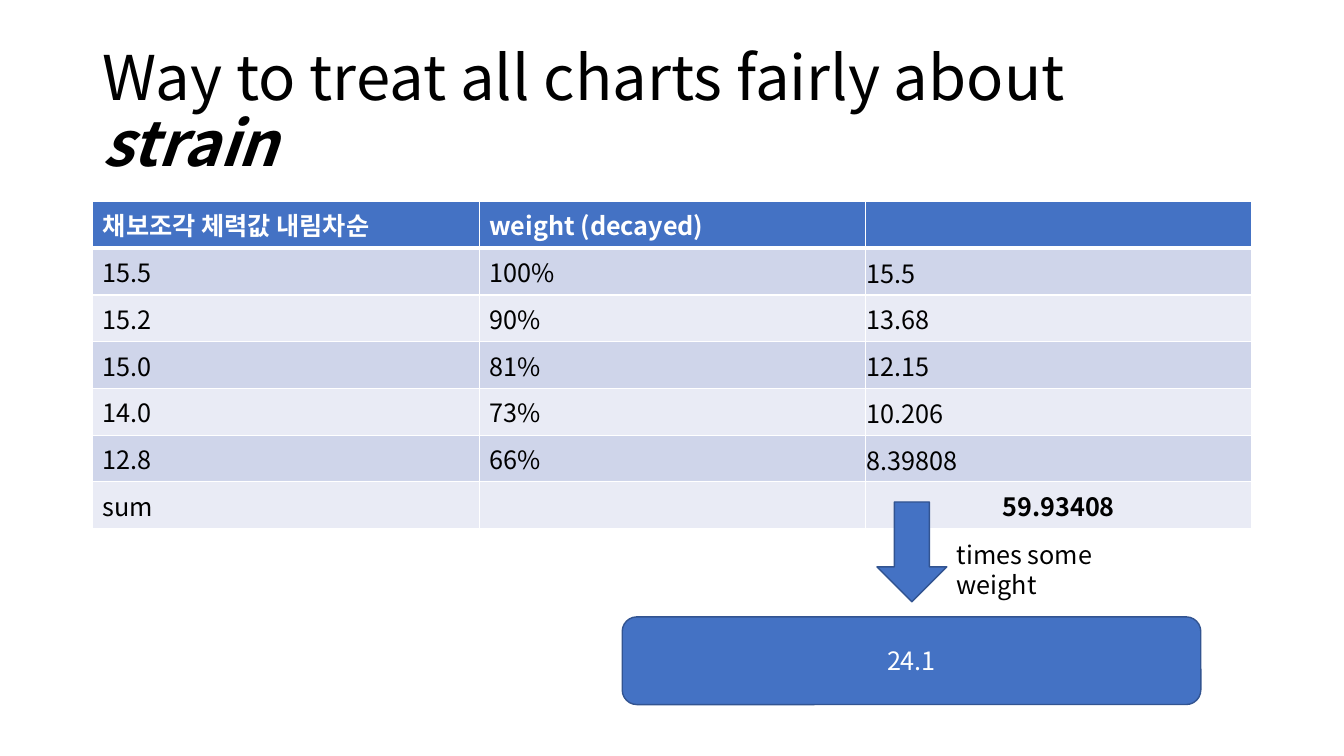
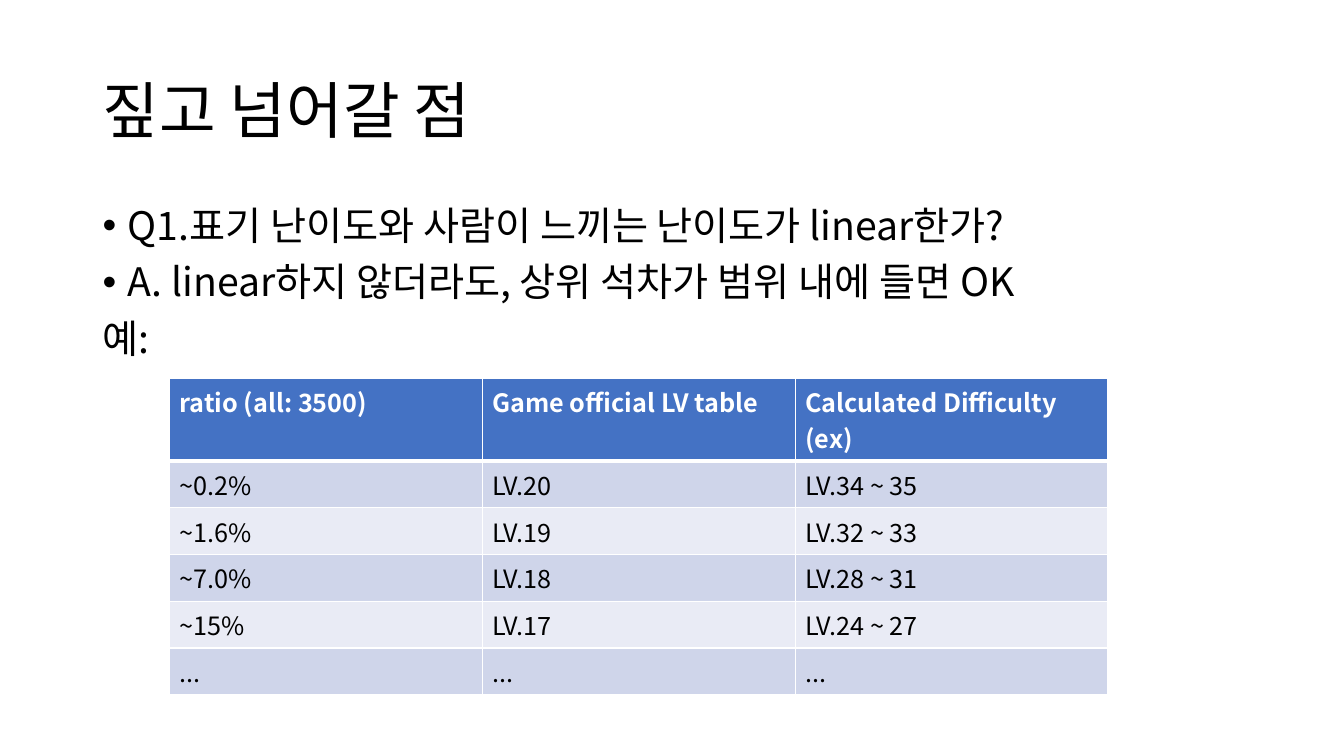
from pptx import Presentation, util as u
from pptx.dml.color import RGBColor
from pptx.enum import shapes, text
from pptx.oxml import parse_xml
from pptx.oxml.ns import nsdecls, qn
from lxml import etree

WIDTH, HEIGHT = 13.33, 7.5
FONT = "Noto Sans CJK KR"
BLACK, WHITE, BLUE, OUTLINE = "000000", "FFFFFF", "4472C4", "325491"
BANDS = ["CFD5EA", "E9EBF5"]
MARGIN, CONTENT = 6.9, 86.25
CONTENT_TOP = 26.67
ROW, TALL_ROW = 6.18, 11


def color(value):
    return RGBColor.from_string(value)


def across(share):
    return u.Inches(WIDTH * share / 100)


def down(share):
    return u.Inches(HEIGHT * share / 100)


def area(left, top, width, height):
    return across(left), down(top), across(width), down(height)


def add_run(paragraph, words, size, fill=BLACK, bold=False, italic=False):
    run = paragraph.add_run()
    run.text = words
    font = run.font
    font.name, font.size = FONT, u.Pt(size)
    font.bold, font.italic = bold, italic
    font.color.rgb = color(fill)
    east_asian = etree.SubElement(font._element, qn("a:ea"))
    east_asian.set("typeface", FONT)


def add_text_box(slide, bounds, anchor=text.MSO_ANCHOR.TOP):
    frame = slide.shapes.add_textbox(*area(*bounds)).text_frame
    frame.word_wrap = True
    frame.vertical_anchor = anchor
    return frame


def add_title(slide, words, emphasis=""):
    frame = add_text_box(slide, (MARGIN, 5.33, CONTENT, 19.33), text.MSO_ANCHOR.MIDDLE)
    paragraph = frame.paragraphs[0]
    paragraph.line_spacing = 0.9
    add_run(paragraph, words, 44)
    if emphasis:
        add_run(paragraph, emphasis, 44, bold=True, italic=True)


def set_bullet(paragraph):
    properties = paragraph._p.get_or_add_pPr()
    properties.set("marL", str(u.Inches(0.25)))
    properties.set("indent", str(-u.Inches(0.25)))
    properties.append(parse_xml(f'<a:buFont {nsdecls("a")} typeface="Arial"/>'))
    properties.append(parse_xml(f'<a:buChar {nsdecls("a")} char="•"/>'))


def add_body(slide, lines):
    frame = add_text_box(slide, (MARGIN, CONTENT_TOP, CONTENT, 63.47))
    for index, (words, bulleted) in enumerate(lines):
        paragraph = frame.add_paragraph() if index else frame.paragraphs[0]
        paragraph.line_spacing = 0.9
        paragraph.space_before = u.Pt(10)
        if bulleted:
            set_bullet(paragraph)
        add_run(paragraph, words, 28)


def set_borders(cell, row):
    widths = {"L": 1, "R": 1, "T": 3 if row == 1 else 1, "B": 1 if row else 3}
    properties = cell._tc.get_or_add_tcPr()
    for side, points in widths.items():
        properties.append(parse_xml(
            f'<a:ln{side} {nsdecls("a")} w="{u.Pt(points)}"><a:solidFill>'
            f'<a:srgbClr val="{WHITE}"/></a:solidFill></a:ln{side}>'))


def add_table(slide, left, top, width, rows, header=ROW):
    bounds = area(left, top, width, header + ROW * (len(rows) - 1))
    table = slide.shapes.add_table(len(rows), len(rows[0]), *bounds).table
    table.horz_banding = False
    for row, values in enumerate(rows):
        table.rows[row].height = down(ROW if row else header)
        for column, words in enumerate(values):
            cell = table.cell(row, column)
            set_borders(cell, row)
            cell.fill.solid()
            cell.fill.fore_color.rgb = color(BANDS[(row - 1) % 2] if row else BLUE)
            if words:
                add_run(cell.text_frame.paragraphs[0], words, 18,
                        BLACK if row else WHITE, bold=not row)
    return table


def tighten_results(table):
    last_row, last_column = len(table.rows) - 1, len(table.columns) - 1
    for row in range(1, last_row + 1):
        cell = table.cell(row, last_column)
        cell.vertical_anchor = text.MSO_ANCHOR.MIDDLE
        cell.margin_left = cell.margin_right = cell.margin_top = u.Inches(0.01)
        cell.margin_bottom = 0
    total = table.cell(last_row, last_column).text_frame.paragraphs[0]
    total.alignment = text.PP_ALIGN.CENTER
    total.runs[0].font.bold = True


def add_block(slide, kind, bounds, words=""):
    shape = slide.shapes.add_shape(kind, *area(*bounds))
    shape.shadow.inherit = False
    shape.fill.solid()
    shape.fill.fore_color.rgb = color(BLUE)
    shape.line.color.rgb = color(OUTLINE)
    shape.line.width = u.Pt(1)
    if words:
        shape.text_frame.vertical_anchor = text.MSO_ANCHOR.MIDDLE
        paragraph = shape.text_frame.paragraphs[0]
        paragraph.alignment = text.PP_ALIGN.CENTER
        add_run(paragraph, words, 18, WHITE)


def build_strain(slide):
    table = add_table(slide, MARGIN, CONTENT_TOP, CONTENT, [
        ("채보조각 체력값 내림차순", "weight (decayed)", ""),
        ("15.5", "100%", "15.5"),
        ("15.2", "90%", "13.68"),
        ("15.0", "81%", "12.15"),
        ("14.0", "73%", "10.206"),
        ("12.8", "66%", "8.39808"),
        ("sum", "", "59.93408"),
    ])
    tighten_results(table)
    add_block(slide, shapes.MSO_SHAPE.DOWN_ARROW, (65.25, 66.4, 5.2, 13.2))
    add_block(slide, shapes.MSO_SHAPE.ROUNDED_RECTANGLE, (46.3, 81.6, 43.05, 11.6), "24.1")
    label = add_text_box(slide, (70.45, 70.67, 15, 9.4))
    add_run(label.paragraphs[0], "times some weight", 18)
    add_title(slide, "Way to treat all charts fairly about ", "strain")


def build_notes(slide):
    add_title(slide, "짚고 넘어갈 점")
    add_body(slide, [
        ("Q1.표기 난이도와 사람이 느끼는 난이도가 linear한가?", True),
        ("A. linear하지 않더라도, 상위 석차가 범위 내에 들면 OK", True),
        ("예:", False),
    ])
    add_table(slide, 12.6, 50, 69.85, [
        ("ratio (all: 3500)", "Game official LV table", "Calculated Difficulty (ex)"),
        ("~0.2%", "LV.20", "LV.34 ~ 35"),
        ("~1.6%", "LV.19", "LV.32 ~ 33"),
        ("~7.0%", "LV.18", "LV.28 ~ 31"),
        ("~15%", "LV.17", "LV.24 ~ 27"),
        ("...", "...", "..."),
    ], header=TALL_ROW)


def main():
    presentation = Presentation()
    presentation.slide_width = u.Inches(WIDTH)
    presentation.slide_height = u.Inches(HEIGHT)
    for build in (build_strain, build_notes):
        build(presentation.slides.add_slide(presentation.slide_layouts[6]))
    presentation.save("out.pptx")


if __name__ == "__main__":
    main()
